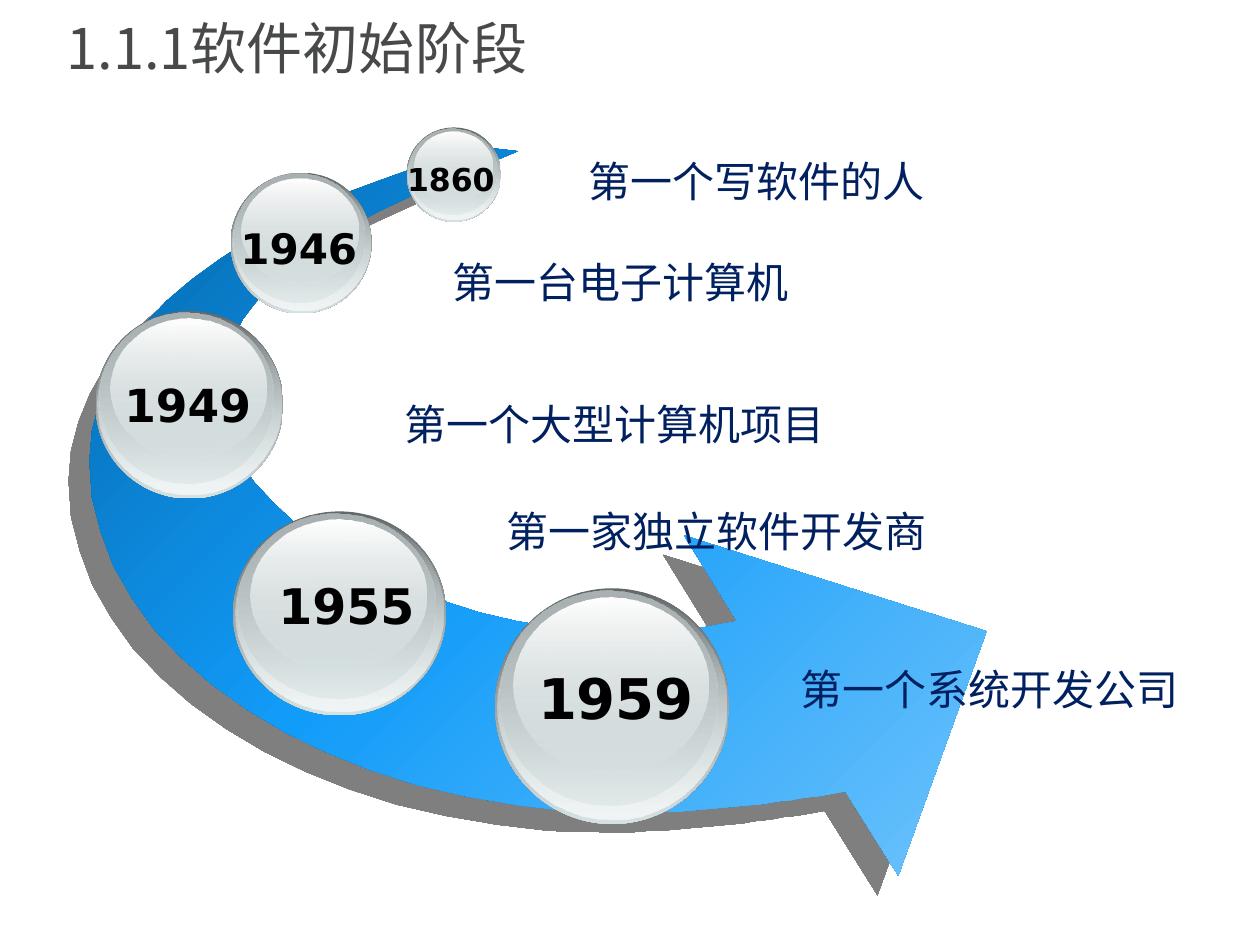
from lxml import etree
from pptx import Presentation
from pptx import util as u
from pptx.dml.color import RGBColor
from pptx.enum import shapes, text
from pptx.oxml.ns import qn


def paint_gradient(shape, stops, angle):
    """Fill without outline; stops are (position %, hex colour, opacity %), angle is clockwise."""
    shape.line.fill.background()
    shape.shadow.inherit = False
    shape.fill.gradient()
    shape.fill.gradient_angle = 360 - angle
    stop_list = shape._element.spPr.find(qn("a:gradFill")).find(qn("a:gsLst"))
    stop_list.clear()
    for position, colour, opacity in stops:
        stop = etree.SubElement(stop_list, qn("a:gs"), pos=str(position * 1000))
        tint = etree.SubElement(stop, qn("a:srgbClr"), val=colour)
        if opacity < 100:
            etree.SubElement(tint, qn("a:alpha"), val=str(opacity * 1000))


def add_text(parent, box, wording, font, size, colour, bold=False, wrap=True):
    frame = parent.add_textbox(*[u.Cm(v) for v in box]).text_frame
    frame.word_wrap = wrap
    paragraph = frame.paragraphs[0]
    paragraph.text = wording
    paragraph.font.name = font
    paragraph.font.size = u.Pt(size)
    paragraph.font.bold = bold
    paragraph.font.color.rgb = RGBColor.from_string(colour)
    return frame


prs = Presentation()
prs.slide_width, prs.slide_height = u.Cm(25.4), u.Cm(19.05)
slide = prs.slides.add_slide(prs.slide_layouts[6])

# Curved arrow, in hundredths of an inch. It runs from the thin tail down the
# outer edge, around the head and back up the inner edge.
UNIT = u.Cm(2.54) / 100
STEPS_PER_CURVE = 16
tail_outer, tail_inner = (385, 117), (411, 120)
outer_left, outer_bottom = (71, 366), (497, 645)
inner_left, inner_bottom = (174, 315), (501, 502)
neck_outer, neck_inner = (671, 628), (585, 493)
barb_outer, tip, barb_inner = (713, 695), (783, 501), (543, 425)

# Each cubic curve: start, two control points, end
outer_curves = [
    (tail_outer, (240, 155), (71, 233), outer_left),
    (outer_left, (71, 520), (262, 645), outer_bottom),
    (outer_bottom, (555, 645), (613, 638), neck_outer),
]
inner_curves = [
    (neck_inner, (556, 499), (529, 502), inner_bottom),
    (inner_bottom, (336, 502), (174, 407), inner_left),
    (inner_left, (174, 224), (281, 171), tail_inner),
]
edges = []
for curves in (outer_curves, inner_curves):
    edge = [curves[0][0]]
    for curve in curves:
        for step in range(1, STEPS_PER_CURVE + 1):
            t = step / STEPS_PER_CURVE
            weights = ((1 - t) ** 3, 3 * t * (1 - t) ** 2, 3 * t ** 2 * (1 - t), t ** 3)
            edge.append(tuple(sum(w * v for w, v in zip(weights, axis))
                              for axis in zip(*curve)))
    edges.append(edge)
outer_edge, inner_edge = edges

outline = slide.shapes.build_freeform(*tail_outer, scale=UNIT)
outline.add_line_segments(outer_edge[1:] + [barb_outer, tip, barb_inner] + inner_edge, close=True)
arrow = outline.convert_to_shape()
paint_gradient(arrow, [(0, "0467AA", 100), (48, "129CF9", 100), (100, "6DC2FB", 100)], 45)
shadow = etree.SubElement(
    arrow._element.spPr.find(qn("a:effectLst")), qn("a:outerShdw"),
    dist=str(u.Pt(16.3)), dir=str(137 * 60000), algn="ctr", rotWithShape="0")
shadow_colour = etree.SubElement(shadow, qn("a:srgbClr"), val="000000")
etree.SubElement(shadow_colour, qn("a:alpha"), val="50000")

title = add_text(slide.shapes, (1.09, 0.15, 22.99, 1.78), "1.1.1软件初始阶段",
                 "Noto Sans CJK SC", 32, "47494B")
title.vertical_anchor = text.MSO_ANCHOR.MIDDLE
title.paragraphs[0].line_spacing = 0.9

# Glass layers: left, top, width and height as shares of the ball, then the gradient
glass_layers = [
    ((0, 0, 1, 1), [(0, "636869", 100), (100, "D6E1E2", 100)]),
    ((0.01, 0.01, 0.98, 0.97), [(0, "D6E1E2", 0), (100, "F1F5F5", 100)]),
    ((0.02, 0.01, 0.93, 0.91), [(0, "AAB2B3", 100), (100, "D6E1E2", 48)]),
    ((0.08, 0.04, 0.83, 0.74), [(0, "FFFFFF", 100), (100, "D6E1E2", 38)]),
]
EVENT_HEIGHT = 1.27
# Year, its size, ball box, year box, event, event left, top and width
milestones = [
    ("1946", 24, (4.65, 3.48, 2.84, 2.84), (4.55, 4.37, 2.95, 1.27),
     "第一台电子计算机", (6.81, 5.05, 11.4)),
    ("1949", 26, (1.93, 6.27, 3.78, 3.78), (2.21, 7.47, 3.15, 1.37),
     "第一个大型计算机项目", (5.79, 7.9, 13.18)),
    ("1955", 28, (4.7, 10.31, 4.29, 4.11), (5.31, 11.48, 3.35, 1.45),
     "第一家独立软件开发商", (6.4, 10.06, 16.08)),
    ("1860", 18, (8.2, 2.57, 1.9, 1.9), (7.92, 3.1, 2.34, 1.02),
     "第一个写软件的人", (7.11, 3.02, 16.28)),
    ("1959", 32, (9.98, 11.86, 4.72, 4.75), (10.54, 13.26, 3.76, 1.63),
     "第一个系统开发公司", (11.91, 13.26, 16.08)),
]
for year, year_size, (left, top, width, height), year_box, event, event_place in milestones:
    milestone = slide.shapes.add_group_shape().shapes
    for (dx, dy, share_w, share_h), stops in glass_layers:
        layer = milestone.add_shape(
            shapes.MSO_SHAPE.OVAL, u.Cm(left + dx * width), u.Cm(top + dy * height),
            u.Cm(share_w * width), u.Cm(share_h * height))
        paint_gradient(layer, stops, 90)
    captions = [
        add_text(milestone, year_box, year, "DejaVu Sans", year_size, "000000",
                 bold=True, wrap=False),
        add_text(milestone, (*event_place, EVENT_HEIGHT), event, "Arial", 24, "002060"),
    ]
    for caption in captions:
        caption.auto_size = text.MSO_AUTO_SIZE.SHAPE_TO_FIT_TEXT
        caption.paragraphs[0].alignment = text.PP_ALIGN.CENTER

prs.save("out.pptx")
